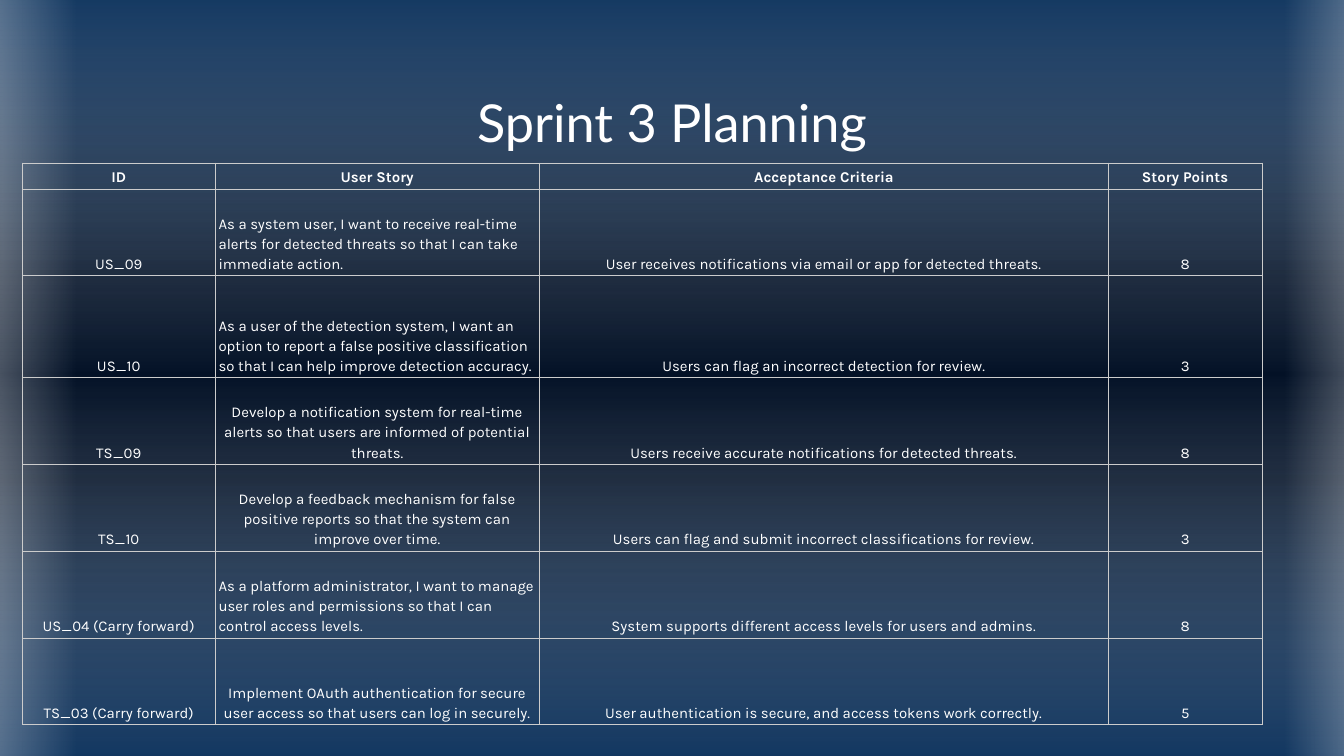
from lxml.etree import SubElement
from pptx import Presentation
from pptx.dml.color import RGBColor
from pptx.enum.shapes import MSO_SHAPE as Preset
from pptx.enum.text import MSO_ANCHOR as Anchor, PP_ALIGN as Align
from pptx.oxml.ns import qn
from pptx.util import Cm, Pt

COLORS = {"navy": "10355F", "night": "031126", "white": "FFFFFF", "rule": "CCCCCC"}
SIDE_GLOW = [(0, "white", 47), (100, "white", 0)]
COLUMN_WIDTHS = [3.63, 6.14, 10.75, 2.9]
ROW_HEIGHTS = [0.49, 1.64, 1.93, 1.64, 1.64, 1.64, 1.64]
STORIES = [
    ("ID", "User Story", "Acceptance Criteria", "Story Points"),
    ("US_09",
     "As a system user, I want to receive real-time alerts for detected threats "
     "so that I can take immediate action.",
     "User receives notifications via email or app for detected threats.", "8"),
    ("US_10",
     "As a user of the detection system, I want an option to report a false positive "
     "classification so that I can help improve detection accuracy.",
     "Users can flag an incorrect detection for review.", "3"),
    ("TS_09",
     "Develop a notification system for real-time alerts so that users are informed "
     "of potential threats.",
     "Users receive accurate notifications for detected threats.", "8"),
    ("TS_10",
     "Develop a feedback mechanism for false positive reports so that the system "
     "can improve over time.",
     "Users can flag and submit incorrect classifications for review.", "3"),
    ("US_04 (Carry forward)",
     "As a platform administrator, I want to manage user roles and permissions "
     "so that I can control access levels.",
     "System supports different access levels for users and admins.", "8"),
    ("TS_03 (Carry forward)",
     "Implement OAuth authentication for secure user access so that users can log in "
     "securely.",
     "User authentication is secure, and access tokens work correctly.", "5"),
]


def set_values(target, values):
    for name, value in values.items():
        setattr(target, name, value)


class SlideBuilder:
    title_font = {"name": "Lato", "size": Pt(28)}
    table_font = {"name": "Karla", "size": Pt(8)}
    title_format = {
        "word_wrap": True, "vertical_anchor": Anchor.MIDDLE,
        "margin_left": Cm(0.25), "margin_right": Cm(0.25),
        "margin_top": Cm(0.25), "margin_bottom": Cm(0.25),
    }
    cell_format = {
        "vertical_anchor": Anchor.BOTTOM,
        "margin_left": Cm(0.07), "margin_right": Cm(0.07),
        "margin_top": Cm(0.05), "margin_bottom": Cm(0.05),
    }

    def __init__(self, page):
        self.page = page

    def gradient(self, properties, stops, angle):
        solid = properties.find(qn("a:solidFill"))
        gradient = properties.makeelement(qn("a:gradFill"), {"rotWithShape": "1"})
        stop_list = SubElement(gradient, qn("a:gsLst"))
        for position, color, opacity in stops:
            stop = SubElement(stop_list, qn("a:gs"), pos=str(position * 1000))
            shade = SubElement(stop, qn("a:srgbClr"), val=COLORS[color])
            SubElement(shade, qn("a:alpha"), val=str(opacity * 1000))
        SubElement(gradient, qn("a:lin"), ang=str(angle * 60000), scaled="0")
        properties.replace(solid, gradient)

    def background(self, stops):
        self.page.background.fill.solid()
        self.gradient(self.page.element.xpath("./p:cSld/p:bg/p:bgPr")[0], stops, 90)

    def glow(self, left, top, width, height, rotation, stops):
        box = self.page.shapes.add_shape(
            Preset.RECTANGLE, Cm(left), Cm(top), Cm(width), Cm(height))
        box.rotation = rotation
        box.shadow.inherit = False
        box.line.fill.background()
        box.fill.solid()
        self.gradient(box.element.spPr, stops, 180)

    def add_text(self, para, text, align, font):
        para.alignment = align
        span = para.add_run()
        span.text = text
        set_values(span.font, font)
        span.font.color.rgb = RGBColor.from_string(COLORS["white"])

    def title(self, left, top, width, height, text):
        box = self.page.shapes.add_textbox(Cm(left), Cm(top), Cm(width), Cm(height))
        set_values(box.text_frame, self.title_format)
        self.add_text(box.text_frame.paragraphs[0], text, Align.CENTER, self.title_font)

    def borders(self, cell):
        properties = cell._tc.get_or_add_tcPr()
        for index, side in enumerate(("lnL", "lnR", "lnT", "lnB")):
            border = properties.makeelement(qn(f"a:{side}"), {"w": str(Pt(0.42))})
            fill = SubElement(border, qn("a:solidFill"))
            SubElement(fill, qn("a:srgbClr"), val=COLORS["rule"])
            properties.insert(index, border)

    def table(self, left, top, widths, heights, rows):
        table = self.page.shapes.add_table(
            len(rows), len(widths), Cm(left), Cm(top),
            Cm(sum(widths)), Cm(sum(heights))).table
        set_values(table, {"first_row": False, "horz_banding": False})
        for column, width in zip(table.columns, widths):
            column.width = Cm(width)
        for row, height in zip(table.rows, heights):
            row.height = Cm(height)
        for row_index, texts in enumerate(rows):
            for column_index, text in enumerate(texts):
                cell = table.cell(row_index, column_index)
                set_values(cell, self.cell_format)
                cell.fill.background()
                self.borders(cell)
                para = cell.text_frame.paragraphs[0]
                para.line_spacing = 1.15
                align = Align.LEFT if text.startswith("As a ") else Align.CENTER
                self.add_text(para, text, align, {**self.table_font, "bold": row_index == 0})


def main():
    deck = Presentation()
    set_values(deck, {"slide_width": Cm(25.4), "slide_height": Cm(14.29)})
    builder = SlideBuilder(deck.slides.add_slide(deck.slide_layouts[6]))
    builder.background([(0, "navy", 100), (37, "night", 100),
                        (63, "night", 100), (100, "navy", 100)])
    builder.glow(5.59, -5.92, 14.76, 25.93, 270,
                 [(0, "navy", 59), (50, "white", 0), (100, "navy", 59)])
    builder.glow(-1.04, -0.23, 2.49, 14.73, 180, SIDE_GLOW)
    builder.glow(24.28, -0.33, 2.16, 14.73, 0, SIDE_GLOW)
    builder.title(2, 1.5, 21.4, 1.6, "Sprint 3 Planning")
    builder.table(0.43, 3.08, COLUMN_WIDTHS, ROW_HEIGHTS, STORIES)
    deck.save("out.pptx")


if __name__ == "__main__":
    main()
